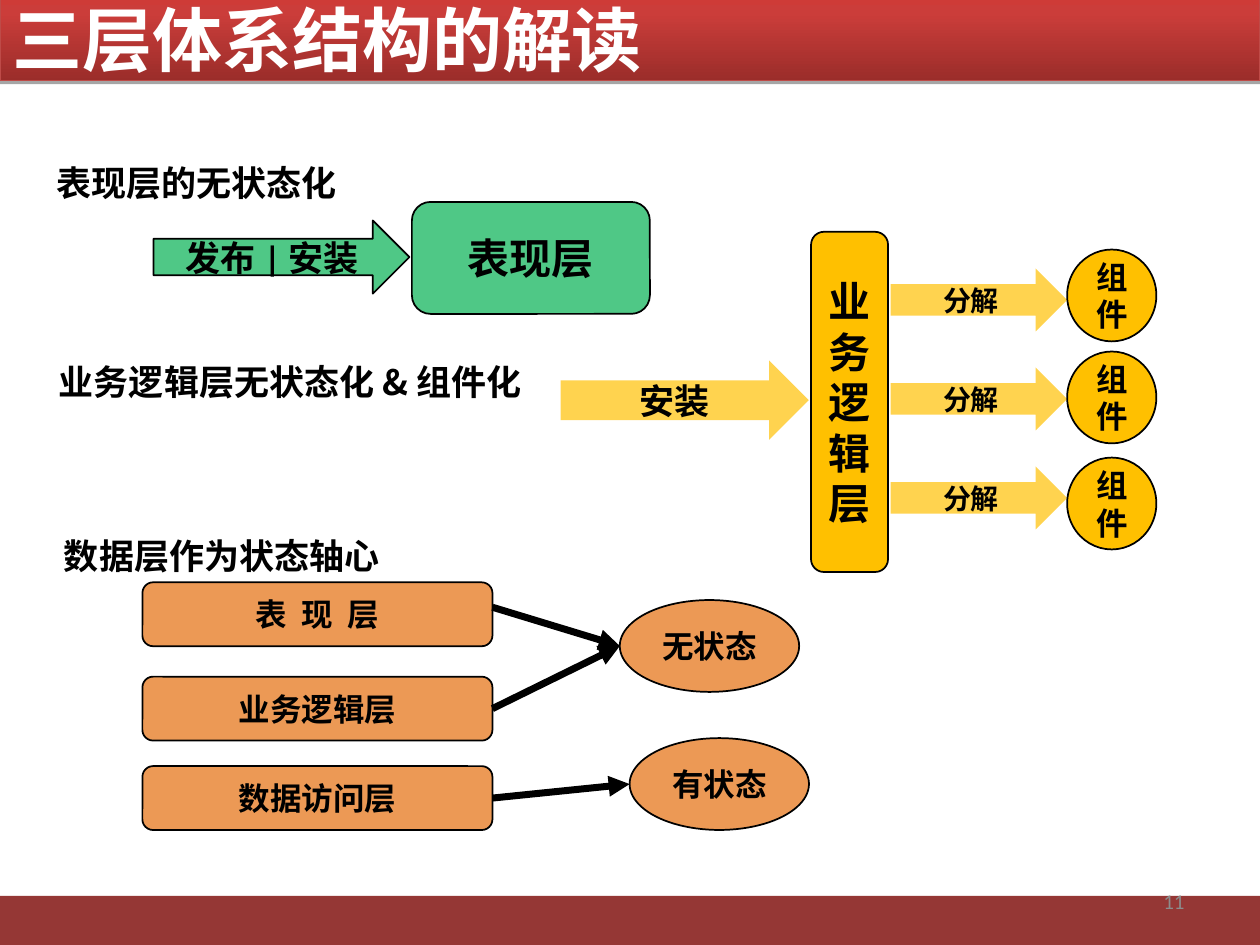
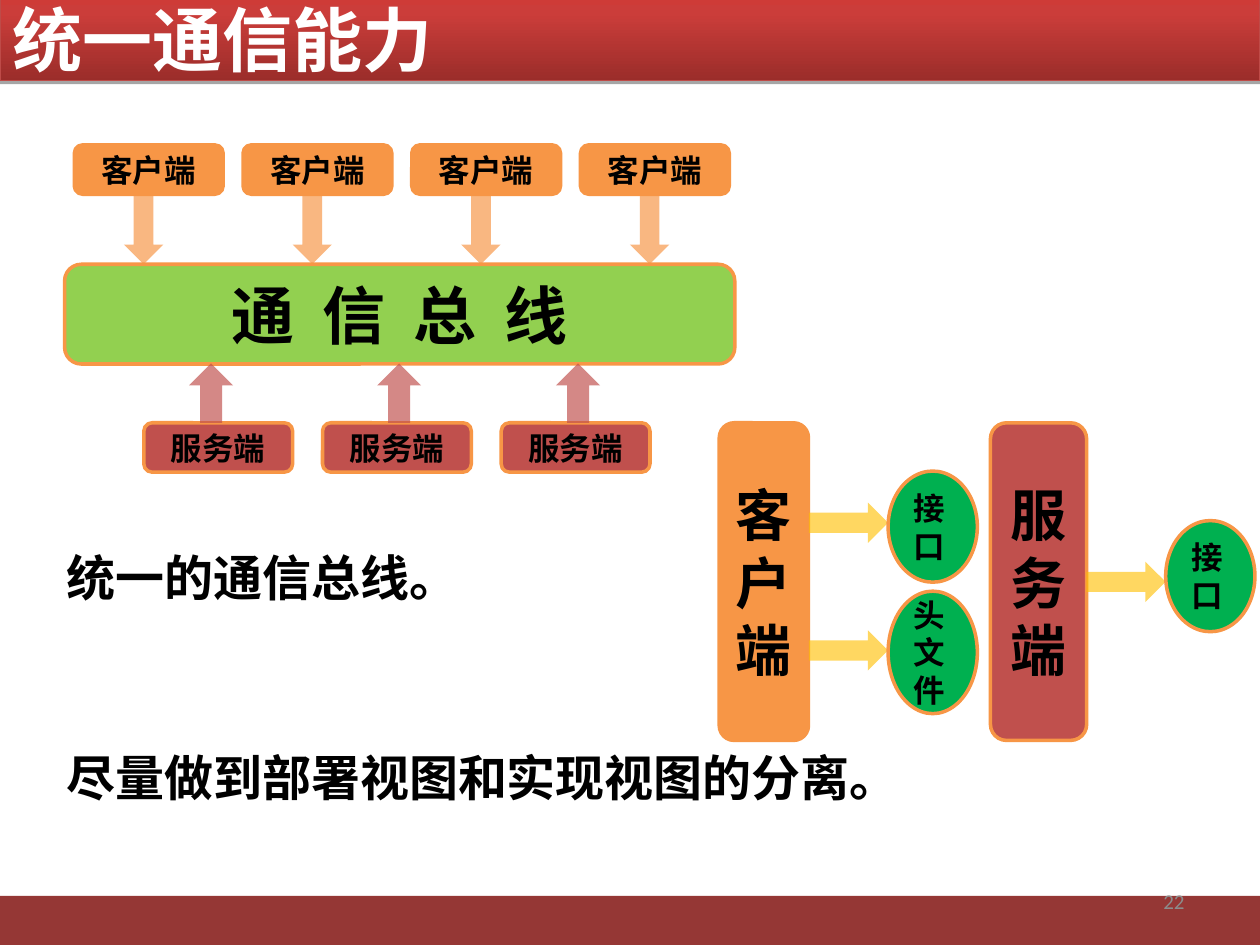
"""Build two slides on a three-tier architecture and its shared communication bus."""
from copy import deepcopy
from dataclasses import dataclass

from lxml.etree import SubElement
from pptx import Presentation
from pptx.dml.color import RGBColor
from pptx.enum.shapes import MSO_CONNECTOR as Link, MSO_SHAPE as Form
from pptx.enum.text import MSO_ANCHOR as Anchor, MSO_AUTO_SIZE as Fit, PP_ALIGN as Align
from pptx.oxml.ns import qn
from pptx.util import Pt

COLORS = {
    "black": "000000", "white": "FFFFFF", "footer": "953735", "page": "8C8C8C",
    "band_dark": "9B2D2A", "band_mid": "CB3D3A", "band_light": "CE3B37", "band_edge": "BE4B48",
    "green": "00B050", "amber": "FFC000", "rust": "E46C0A",
    "lime": "92D050", "orange": "F79646", "brick": "C0504D",
}
CJK = "Noto Sans CJK SC"
LATIN = "Calibri"


@dataclass
class Node:
    form: Form
    left: float
    top: float
    width: float
    height: float
    fill: str
    text: str = ""
    size: float = 18
    alpha: int = 100
    edge: str = ""
    edge_width: float = 1
    align: Align = Align.CENTER
    spacing: float = 0


def rgb(name: str) -> RGBColor:
    return RGBColor.from_string(COLORS[name])


def write(shape, text: str, *, size: float, color: str = "black", font: str = LATIN,
          bold: bool = True, align: Align = Align.LEFT, anchor: Anchor = Anchor.MIDDLE,
          spacing: float = 0) -> None:
    frame = shape.text_frame
    frame.word_wrap = True
    frame.auto_size = Fit.NONE
    frame.vertical_anchor = anchor
    paragraph = frame.paragraphs[0]
    paragraph.alignment = align
    run = paragraph.add_run()
    run.text = text
    run.font.size = Pt(size)
    run.font.bold = bold
    run.font.color.rgb = rgb(color)
    run.font.name = font
    properties = run.font._element
    SubElement(properties, qn("a:ea"), typeface=CJK)
    if spacing:
        properties.set("spc", str(round(spacing * 100)))


def draw(slide, node: Node):
    shape = slide.shapes.add_shape(node.form, Pt(node.left), Pt(node.top),
                                   Pt(node.width), Pt(node.height))
    shape.shadow.inherit = False
    shape.fill.solid()
    shape.fill.fore_color.rgb = rgb(node.fill)
    if node.alpha < 100:
        tint = shape._element.spPr.find(qn("a:solidFill"))[0]
        SubElement(tint, qn("a:alpha"), val=str(node.alpha * 1000))
    if node.edge:
        shape.line.color.rgb = rgb(node.edge)
        shape.line.width = Pt(node.edge_width)
    else:
        shape.line.fill.background()
    if node.text:
        write(shape, node.text, size=node.size, align=node.align, spacing=node.spacing)
    return shape


def label(slide, text: str, left: float, top: float, width: float, height: float = 45,
          **style) -> None:
    box = slide.shapes.add_textbox(Pt(left), Pt(top), Pt(width), Pt(height))
    write(box, text, **style)


def heading(slide, text: str, left: float, top: float, width: float, size: float) -> None:
    label(slide, text, left, top, width, size=size, font=CJK, anchor=Anchor.TOP)


def link(slide, layer, state, start_top: float | None = None) -> None:
    start_y = layer.top + layer.height // 2 if start_top is None else Pt(start_top)
    line = slide.shapes.add_connector(Link.STRAIGHT, layer.left + layer.width, start_y,
                                      state.left, state.top + state.height // 2)
    if start_top is None:
        line.begin_connect(layer, 3)
    line.line.color.rgb = rgb("black")
    line.line.width = Pt(4)
    SubElement(line.line._get_or_add_ln(), qn("a:tailEnd"), type="triangle")
    SubElement(line._element.spPr, qn("a:effectLst"))


def style_title(title, text: str) -> None:
    title.left, title.top, title.width, title.height = Pt(0), Pt(-2), Pt(720), Pt(48)
    title.fill.gradient()
    title.fill.gradient_angle = 90
    stops = title._element.spPr.find(qn("a:gradFill")).find(qn("a:gsLst"))
    stops.append(deepcopy(stops[-1]))
    ramp = ((0, "band_dark"), (0.8, "band_mid"), (1, "band_light"))
    for stop, (position, color) in zip(title.fill.gradient_stops, ramp):
        stop.position = position
        stop.color.rgb = rgb(color)
    title.line.color.rgb = rgb("band_edge")
    title.line.width = Pt(0.75)
    effects = SubElement(title._element.spPr, qn("a:effectLst"))
    shadow = SubElement(effects, qn("a:outerShdw"), dist=str(Pt(1.8)), dir="5400000",
                        rotWithShape="0")
    shade = SubElement(shadow, qn("a:srgbClr"), val=COLORS["black"])
    SubElement(shade, qn("a:alpha"), val="35000")
    write(title, text, size=40, color="white", font=CJK)


def add_page(deck, title: str, number: int):
    slide = deck.slides.add_slide(deck.slide_layouts[5])
    style_title(slide.shapes.title, title)
    draw(slide, Node(Form.RECTANGLE, 0, 512, 720, 28, "footer"))
    label(slide, str(number), 516, 500.5, 168, 28.8, size=12, color="page", bold=False,
          align=Align.RIGHT)
    return slide


def build_tiers(deck) -> None:
    slide = add_page(deck, "三层体系结构的解读", 11)
    heading(slide, "表现层的无状态化", 25.2, 88.6, 190, 20)
    heading(slide, "业务逻辑层无状态化 & 组件化", 26.6, 202.3, 344, 20)
    heading(slide, "数据层作为状态轴心", 29.5, 301.7, 344, 20)

    pale_green = dict(fill="green", alpha=69, edge="black")
    pale_amber = dict(fill="amber", alpha=69)
    draw(slide, Node(Form.RIGHT_ARROW, 87.8, 126, 146.2, 41.8, text="发布 | 安装", size=20,
                     **pale_green))
    draw(slide, Node(Form.ROUNDED_RECTANGLE, 235.4, 115.4, 136, 64, text="表现层", size=24,
                     **pale_green))
    draw(slide, Node(Form.RIGHT_ARROW, 320.4, 206, 141.8, 45.4, text="安装", size=20,
                     **pale_amber))
    draw(slide, Node(Form.ROUNDED_RECTANGLE, 463.5, 132.5, 44, 194.4, "amber", "业务逻辑层", 24,
                     edge="black"))
    for row, component_top in enumerate((142.6, 200.9, 261.5)):
        draw(slide, Node(Form.RIGHT_ARROW, 509, 153.4 + 56.6 * row, 100.8, 36, text="分解",
                         size=16, **pale_amber))
        draw(slide, Node(Form.OVAL, 609.8, component_top, 51, 52.5, "amber", "组件",
                         edge="black"))

    pale_rust = dict(fill="rust", alpha=69, edge="black")
    layers = [draw(slide, Node(Form.ROUNDED_RECTANGLE, 81.4, top, 200, 36.5, text=text,
                               spacing=spacing, **pale_rust))
              for text, top, spacing in (("表 现 层", 332.8, 2), ("业务逻辑层", 386.7, 0),
                                         ("数据访问层", 437.8, 0))]
    stateless, stateful = [draw(slide, Node(Form.OVAL, left, top, 102.5, 52.5, text=text,
                                            **pale_rust))
                           for text, left, top in (("无状态", 354.2, 342.9),
                                                   ("有状态", 359.8, 421.8))]
    link(slide, layers[0], stateless, start_top=347)
    link(slide, layers[1], stateless)
    link(slide, layers[2], stateful)


def build_bus(deck) -> None:
    slide = add_page(deck, "统一通信能力", 22)
    heading(slide, "统一的通信总线。", 31, 309.6, 587.5, 28)
    heading(slide, "尽量做到部署视图和实现视图的分离。", 31, 423.4, 587.5, 28)

    framed = dict(edge="orange", edge_width=2)
    block = Form.ROUNDED_RECTANGLE
    draw(slide, Node(block, 36.9, 151, 383, 57, "lime", "通 信 总 线", 36, spacing=4, **framed))
    for column in range(4):
        shift = 96.4 * column
        draw(slide, Node(block, 42.5 + shift, 82.8, 85, 28.2, "orange", "客户端", **framed))
        draw(slide, Node(Form.DOWN_ARROW, 70.8 + shift, 111.5, 22.5, 39.5, "orange", alpha=68))
    for column, arrow_left in enumerate((108, 215.5, 317.7)):
        draw(slide, Node(block, 82.2 + 102.1 * column, 241.6, 85, 28.2, "brick", "服务端",
                         **framed))
        draw(slide, Node(Form.UP_ARROW, arrow_left, 207.7, 25.2, 34, "brick", alpha=68))

    for text, fill, left, width in (("客户端", "orange", 411, 51), ("服务端", "brick", 566, 55)):
        draw(slide, Node(block, left, 241.6, width, 181.5, fill, text, 32, **framed))
    for text, arrow_left, arrow_top, top, height in (
            ("接口", 462.2, 287.2, 269.2, 63.5),
            ("头文件", 462.2, 360.2, 337.8, 70),
            ("接口", 620.8, 321, 297.5, 63.5)):
        draw(slide, Node(Form.RIGHT_ARROW, arrow_left, arrow_top, 45.3, 23, "amber", alpha=62))
        draw(slide, Node(Form.OVAL, arrow_left + 45.3, top, 51, height, "green", text,
                         align=Align.JUSTIFY, **framed))


def main() -> None:
    deck = Presentation()
    deck.slide_width, deck.slide_height = Pt(720), Pt(540)
    build_tiers(deck)
    build_bus(deck)
    deck.save("out.pptx")


if __name__ == "__main__":
    main()
